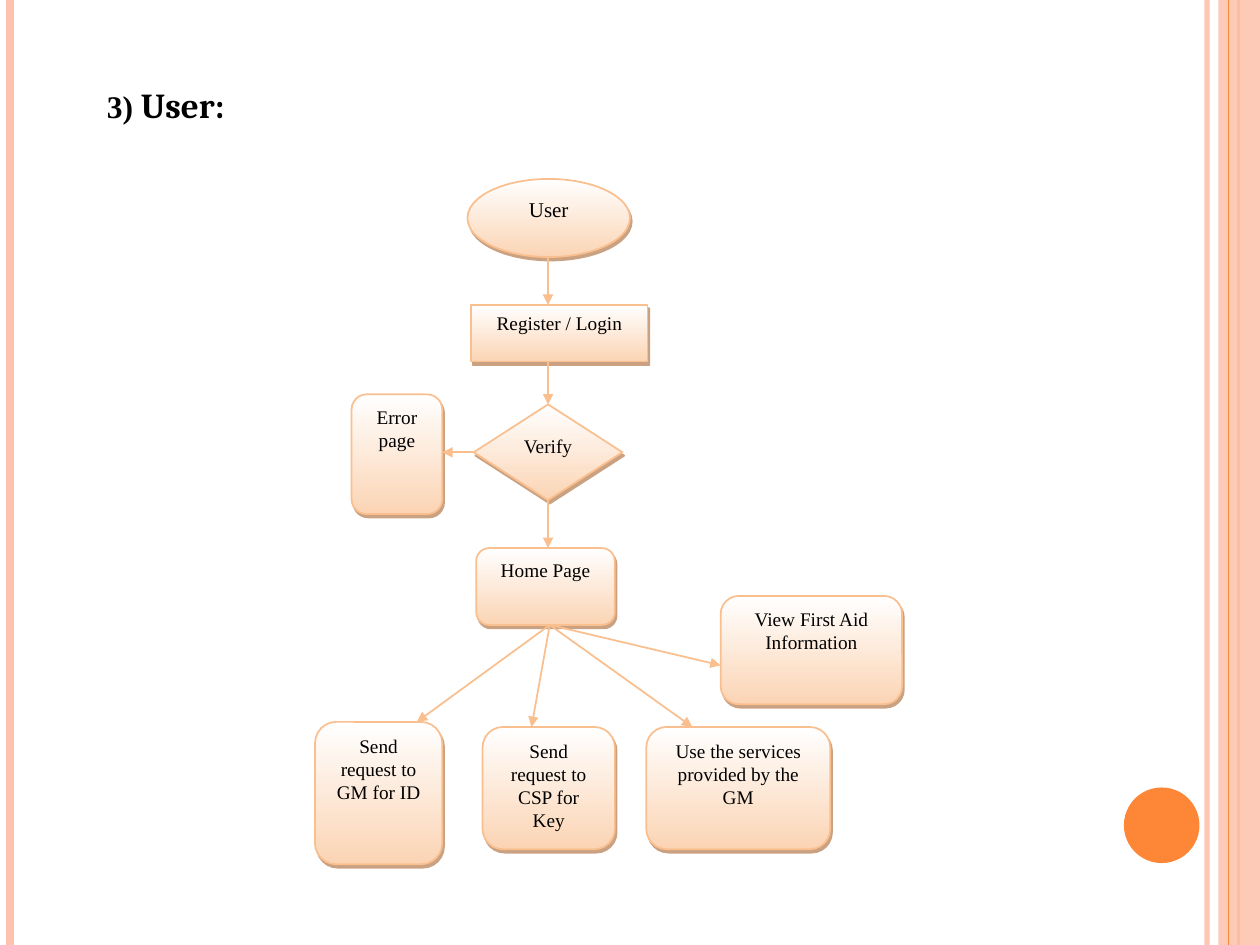
from dataclasses import dataclass
from lxml.etree import SubElement
from pptx import Presentation
from pptx.dml.color import RGBColor
from pptx.enum.shapes import MSO_CONNECTOR, MSO_SHAPE
from pptx.enum.text import MSO_ANCHOR, PP_ALIGN
from pptx.oxml.ns import qn
from pptx.util import Inches, Pt


@dataclass(frozen=True)
class Theme:
    ink: str = "000000"
    pale: str = "FEC3AE"
    bold: str = "FE8637"
    top: str = "FFFFFF"
    base: str = "FBD4B4"
    edge: str = "FABF8F"
    shade: str = "974706"
    serif: str = "Times New Roman"
    head: str = "Cambria"
    mark: int = 18
    title: int = 20
    lead: int = 12
    body: int = 11


THEME = Theme()
WIDE, HIGH = 10, 7.5
COLS, ROWS = 100, 75


def rgb(code):
    return RGBColor.from_string(code)


def across(cols):
    return Inches(cols * WIDE / COLS)


def down(rows):
    return Inches(rows * HIGH / ROWS)


def fade(item, share):
    for tint in item.element.spPr.iter(qn("a:srgbClr")):
        SubElement(tint, qn("a:alpha"), val=str(share * 1000))


def add_line(slide, start, end, color, width, arrow=False):
    line = slide.shapes.add_connector(
        MSO_CONNECTOR.STRAIGHT, across(start[0]), down(start[1]),
        across(end[0]), down(end[1]))
    line.line.color.rgb = rgb(color)
    line.line.width = Pt(width)
    props = line.element.spPr
    if arrow:
        SubElement(props.find(qn("a:ln")), qn("a:tailEnd"), type="triangle")
    SubElement(props, qn("a:effectLst"))
    return line


def add_shape(slide, kind, box):
    x, y, w, h = box
    shape = slide.shapes.add_shape(kind, across(x), down(y), across(w), down(h))
    shape.shadow.inherit = False
    return shape


def add_plain(slide, kind, box, color):
    shape = add_shape(slide, kind, box)
    shape.fill.solid()
    shape.fill.fore_color.rgb = rgb(color)
    shape.line.fill.background()
    return shape


def add_frame(slide, box):
    x, y, w, h = box

    def rule(col, color, width):
        return add_line(slide, (x + col, y), (x + col, y + h), color, width)

    fade(rule(95.8, THEME.pale, 3), 93)
    rule(0.8, THEME.pale, 4.5)
    rule(98.3, THEME.bold, 1.5)
    band = add_plain(slide, MSO_SHAPE.RECTANGLE,
                     (x + 96.7, y, w - 96.7, h), THEME.pale)
    fade(band, 87)
    rule(97.5, THEME.bold, 0.75)
    add_plain(slide, MSO_SHAPE.OVAL, (x + 89.2, y + 62.5, 6, 6), THEME.bold)


def add_title(slide, box):
    x, y, w, h = box
    text = slide.shapes.add_textbox(across(x), down(y), across(w), down(h))
    frame = text.text_frame
    frame.word_wrap = True
    frame.vertical_anchor = MSO_ANCHOR.MIDDLE
    frame.margin_top = down(1.8)
    line = frame.paragraphs[0]
    line.font.bold = True
    line.font.color.rgb = rgb(THEME.ink)
    for words, face, size in (("3) ", THEME.serif, THEME.mark),
                              ("User:", THEME.head, THEME.title)):
        run = line.add_run()
        run.text = words
        run.font.name = face
        run.font.size = Pt(size)


def add_node(slide, kind, box, words, size):
    node = add_shape(slide, kind, box)
    node.fill.gradient()
    node.fill.gradient_angle = 270
    for stop, color, place in zip(node.fill.gradient_stops,
                                  (THEME.top, THEME.base), (0, 1)):
        stop.color.rgb = rgb(color)
        stop.position = place
    node.line.color.rgb = rgb(THEME.edge)
    node.line.width = Pt(1)
    cast = SubElement(node.element.spPr.find(qn("a:effectLst")),
                      qn("a:outerShdw"), blurRad="0", dist=str(Pt(2.2)),
                      dir=str(63 * 60000), algn="ctr", rotWithShape="0")
    tint = SubElement(cast, qn("a:srgbClr"), val=THEME.shade)
    SubElement(tint, qn("a:alpha"), val="50000")
    frame = node.text_frame
    frame.word_wrap = True
    frame.vertical_anchor = MSO_ANCHOR.TOP
    line = frame.paragraphs[0]
    line.text = words
    line.alignment = PP_ALIGN.CENTER
    line.space_after = Pt(10)
    line.font.name = THEME.serif
    line.font.size = Pt(size)
    line.font.color.rgb = rgb(THEME.ink)


def add_flow(slide, box):
    left, top = box[:2]
    rounded = MSO_SHAPE.ROUNDED_RECTANGLE
    nodes = {
        "user": (MSO_SHAPE.OVAL, (12.1, 0, 12.9, 6.2), "User"),
        "login": (MSO_SHAPE.RECTANGLE, (12.4, 10, 14, 4.5), "Register / Login"),
        "verify": (MSO_SHAPE.DIAMOND, (12.6, 17.9, 11.8, 7.6), "Verify"),
        "error": (rounded, (2.9, 17.1, 7.2, 9.5), "Error page"),
        "home": (rounded, (12.8, 29.3, 11, 6.1), "Home Page"),
        "key": (rounded, (13.3, 43.5, 10.5, 9.7), "Send request to CSP for Key"),
        "id": (rounded, (0, 43.1, 10.1, 11.3), "Send request to GM for ID"),
        "use": (rounded, (26.3, 43.5, 14.6, 9.7),
                "Use the services provided by the GM"),
        "aid": (rounded, (32.2, 33.1, 14.4, 8.6), "View First Aid Information"),
    }
    spots = {}
    for name, (kind, (x, y, w, h), words) in nodes.items():
        spots[name] = (left + x, top + y, w, h)
        size = THEME.lead if name == "user" else THEME.body
        add_node(slide, kind, spots[name], words, size)

    def point(name, right, low):
        x, y, w, h = spots[name]
        return x + w * right, y + h * low

    def link(start, end):
        add_line(slide, start, end, THEME.edge, 1, arrow=True)

    axis = point("verify", 0.5, 0)[0]
    trunk = ("user", "login", "verify", "home")
    for above, below in zip(trunk, trunk[1:]):
        link((axis, point(above, 0, 1)[1]), (axis, point(below, 0, 0)[1]))
    side = point("verify", 0, 0.5)
    link(side, (point("error", 1, 0)[0], side[1]))
    hub = point("home", 0.53, 1)
    for name, right, low in (("id", 0.8, 0), ("key", 0.37, 0),
                             ("use", 0.25, 0), ("aid", 0, 0.64)):
        link(hub, point(name, right, low))


def main():
    deck = Presentation()
    deck.slide_width = Inches(WIDE)
    deck.slide_height = Inches(HIGH)
    slide = deck.slides.add_slide(deck.slide_layouts[6])
    add_frame(slide, (0, 0, COLS, ROWS))
    add_title(slide, (7.5, 0, 26.7, 15.3))
    add_flow(slide, (25, 14.2, 46.6, 54.4))
    deck.save("out.pptx")


if __name__ == "__main__":
    main()
